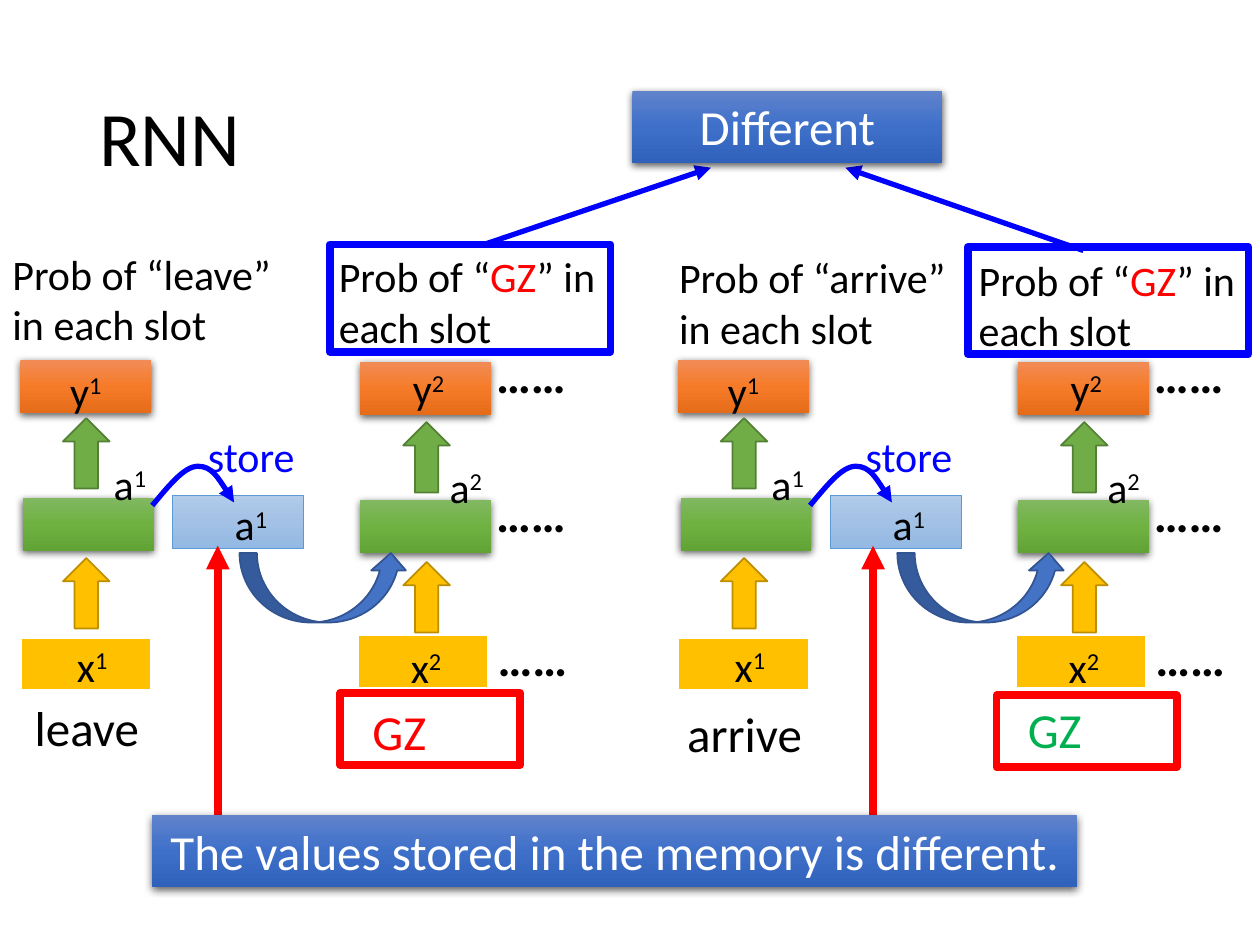
"""Build the slide that compares the memory of an RNN after two different words."""
import dataclasses
import typing

import pptx
import pptx.dml.color
import pptx.enum.shapes
import pptx.enum.text
import pptx.oxml
import pptx.oxml.ns
import pptx.util

Cm = pptx.util.Cm
Pt = pptx.util.Pt
qn = pptx.oxml.ns.qn
SHAPE = pptx.enum.shapes.MSO_SHAPE
ALIGN = pptx.enum.text.PP_ALIGN
ANCHOR = pptx.enum.text.MSO_ANCHOR
FIT = pptx.enum.text.MSO_AUTO_SIZE.SHAPE_TO_FIT_TEXT

BLACK, WHITE, RED, BLUE = "000000", "FFFFFF", "FF0000", "0000FF"
AMBER, AMBER_EDGE = "FFC000", "BD8E00"
LEAF, LEAF_EDGE = "70AD47", "538035"
GREEN = ("81B861", "6FB242", "62A336")
ORANGE = ("F18C57", "F67B28", "E56C19")
PALE_BLUE = ("B1CBE9", "A3C1E5", "93B9E4")
ROYAL_BLUE = ("6183CB", "3E70CA", "3062BB")
BOX, UP_ARROW, LABEL, DOTS = (2.64, 1.07), (0.94, 1.42), (2.24, 1.14), (1.98, 1.45)
NETWORK_SHIFT = 13.26


class Run(typing.NamedTuple):
    text: str
    color: str = BLACK
    superscript: bool = False


@dataclasses.dataclass
class Block:
    left: float
    top: float
    size: tuple
    fill: typing.Union[str, tuple, None] = None
    edge: typing.Optional[str] = None
    edge_width: float = 1
    kind: typing.Any = SHAPE.RECTANGLE
    shadow: bool = False
    text: str = ""


@dataclasses.dataclass
class Caption:
    left: float
    top: float
    size: tuple
    runs: tuple
    points: float = 24
    align: typing.Any = ALIGN.LEFT
    bold: bool = False
    anchor: typing.Any = ANCHOR.TOP
    fit: bool = True
    spacing: float = 1.0


def rgb(color: str):
    return pptx.dml.color.RGBColor.from_string(color)


def xml(tag: str, body: str):
    return pptx.oxml.parse_xml(f'<a:{tag} {pptx.oxml.ns.nsdecls("a")}>{body}</a:{tag}>')


def write(frame, caption: Caption) -> None:
    settings = {"word_wrap": True, "vertical_anchor": caption.anchor}
    if caption.fit:
        settings["auto_size"] = FIT
    for name, value in settings.items():
        setattr(frame, name, value)
    paragraph = frame.paragraphs[0]
    paragraph.alignment = caption.align
    paragraph.line_spacing = caption.spacing
    for part in caption.runs:
        run = paragraph.add_run()
        run.text = part.text
        formats = {"name": "Calibri", "size": Pt(caption.points), "bold": caption.bold}
        for name, value in formats.items():
            setattr(run.font, name, value)
        run.font.color.rgb = rgb(part.color)
        if part.superscript:
            run._r.get_or_add_rPr().set("baseline", "30000")


def draw_caption(shapes, caption: Caption, shift: float = 0) -> None:
    box = shapes.add_textbox(Cm(caption.left + shift), Cm(caption.top), *map(Cm, caption.size))
    write(box.text_frame, caption)


def fill_gradient(shape, colors: tuple) -> None:
    stops = "".join(
        f'<a:gs pos="{index * 50000}"><a:srgbClr val="{color}"/></a:gs>'
        for index, color in enumerate(colors))
    gradient = xml("gradFill", f'<a:gsLst>{stops}</a:gsLst><a:lin ang="5400000" scaled="0"/>')
    shape._element.spPr.find(qn("a:prstGeom")).addnext(gradient)


def draw_block(shapes, block: Block, shift: float = 0) -> None:
    shape = shapes.add_shape(
        block.kind, Cm(block.left + shift), Cm(block.top), *map(Cm, block.size))
    shape.shadow.inherit = False
    if block.shadow:
        shape._element.spPr.find(qn("a:effectLst")).append(pptx.oxml.parse_xml(
            f'<a:outerShdw {pptx.oxml.ns.nsdecls("a")} blurRad="57150" dist="19050" '
            'dir="5400000" algn="ctr" rotWithShape="0"><a:srgbClr val="000000">'
            '<a:alpha val="63000"/></a:srgbClr></a:outerShdw>'))
    if block.fill is None:
        shape.fill.background()
    elif isinstance(block.fill, tuple):
        fill_gradient(shape, block.fill)
    else:
        shape.fill.solid()
        shape.fill.fore_color.rgb = rgb(block.fill)
    if block.edge:
        shape.line.color.rgb = rgb(block.edge)
        shape.line.width = Pt(block.edge_width)
    else:
        shape.line.fill.background()
    if block.text:
        write(shape.text_frame, Caption(
            0, 0, block.size, (Run(block.text, WHITE),), 28, ALIGN.CENTER))


def style_arrow(shape, color: str, width: float) -> None:
    shape.line.color.rgb = rgb(color)
    shape.line.width = Pt(width)
    tail = xml("tailEnd", "")
    tail.set("type", "triangle")
    shape._element.spPr.find(qn("a:ln")).append(tail)


def draw_arrow(shapes, ends: tuple, color: str, width: float) -> None:
    straight = pptx.enum.shapes.MSO_CONNECTOR.STRAIGHT
    connector = shapes.add_connector(straight, *map(Cm, ends))
    style_arrow(connector, color, width)
    connector._element.spPr.append(xml("effectLst", ""))


def draw_store_curve(shapes, shift: float) -> None:
    points = [(3.07, 10.19), (3.4, 9.8), (3.71, 9.4), (3.99, 9.4),
              (4.27, 9.4), (4.5, 9.78), (4.72, 10.13)]
    start, *controls = [(Cm(x + shift), Cm(y)) for x, y in points]
    builder = shapes.build_freeform(*start)
    builder.add_line_segments(controls, close=False)
    curve = builder.convert_to_shape()
    outline = next(curve._element.iter(qn("a:path")))
    segments = outline.findall(qn("a:lnTo"))
    for first in range(0, len(segments), 3):
        bezier = xml("cubicBezTo", "")
        for segment in segments[first:first + 3]:
            bezier.append(segment[0])
            outline.remove(segment)
        outline.append(bezier)
    curve.shadow.inherit = False
    curve.fill.background()
    style_arrow(curve, BLUE, 3)


def draw_network(slide, shift: float) -> None:
    shapes = slide.shapes.add_group_shape().shapes
    columns = [(0.41, 12.85, 0.46, 10.03, 0.41, 7.26, 1.27, 11.25, 8.43),
               (7.21, 12.8, 7.26, 10.08, 7.26, 7.29, 8.13, 11.33, 8.51)]
    for x_left, x_top, a_left, a_top, y_left, y_top, arrow, low, high in columns:
        for block in (
                Block(x_left, x_top, BOX, AMBER, WHITE, 1.5),
                Block(a_left, a_top, BOX, GREEN, shadow=True),
                Block(y_left, y_top, BOX, ORANGE, shadow=True),
                Block(arrow, low, UP_ARROW, AMBER, AMBER_EDGE, kind=SHAPE.UP_ARROW),
                Block(arrow, high, UP_ARROW, LEAF, LEAF_EDGE, kind=SHAPE.UP_ARROW)):
            draw_block(shapes, block, shift)
    draw_block(shapes, Block(3.48, 9.98, BOX, PALE_BLUE, "5B9BD5", 0.5), shift)
    draw_caption(shapes, Caption(
        3.78, 8.56, (2.57, 1.27), (Run("store", BLUE),), align=ALIGN.CENTER), shift)
    draw_store_curve(shapes, shift)
    draw_block(shapes, Block(
        4.83, 11.15, (3.4, 1.4), "4472C4", "325491", kind=SHAPE.CURVED_UP_ARROW), shift)
    for name, left, top, size in (
            ("x1", 0.74, 12.78, LABEL), ("x2", 7.47, 12.8, LABEL),
            ("y1", 0.61, 7.24, LABEL), ("y2", 7.52, 7.19, LABEL),
            ("a1", 1.5, 9.12, LABEL), ("a1", 3.94, 9.93, LABEL), ("a2", 8.69, 9.17, (1.4, 1.14))):
        runs = (Run(name[0]), Run(name[1], superscript=True))
        draw_caption(shapes, Caption(left, top, size, runs, align=ALIGN.CENTER), shift)
    for left, top in ((9.75, 6.83), (9.75, 9.63), (9.78, 12.52)):
        draw_caption(shapes, Caption(left, top, DOTS, (Run("……"),), 28, bold=True), shift)


def main() -> None:
    presentation = pptx.Presentation()
    presentation.slide_width, presentation.slide_height = Cm(25.4), Cm(19.05)
    slide = presentation.slides.add_slide(presentation.slide_layouts[6])
    shapes = slide.shapes
    draw_caption(shapes, Caption(1.75, 1.02, (21.9, 3.68), (Run("RNN"),), 44,
                                 anchor=ANCHOR.MIDDLE, fit=False, spacing=0.9))
    for shift in (0, NETWORK_SHIFT):
        draw_network(slide, shift)
    slot_runs = (Run("Prob of “"), Run("GZ", RED), Run("” in each slot"))
    for caption in (
            Caption(0.38, 13.94, (2.74, 1.45), (Run("leave"),), 28, ALIGN.CENTER),
            Caption(7.26, 14.02, (3.25, 1.45), (Run("GZ", RED),), 28),
            Caption(0, 4.88, (6.22, 2.31), (Run("Prob of “leave” in each slot"),)),
            Caption(6.58, 4.93, (6.32, 2.31), slot_runs),
            Caption(13.44, 4.95, (6.22, 2.31), (Run("Prob of “arrive” in each slot"),)),
            Caption(19.48, 5.0, (6.22, 2.31), slot_runs),
            Caption(13.31, 14.05, (3.4, 1.45), (Run("arrive"),), 28, ALIGN.CENTER),
            Caption(20.47, 13.97, (3.25, 1.45), (Run("GZ", "00B050"),), 28)):
        draw_caption(shapes, caption)
    for ends, color, width in (
            ((9.75, 4.93, 14.33, 3.38), BLUE, 3), ((21.84, 5.05, 17.04, 3.38), BLUE, 3),
            ((4.39, 16.43, 4.39, 11), RED, 4.5), ((17.6, 17.02, 17.6, 11), RED, 4.5)):
        draw_arrow(shapes, ends, color, width)
    for left, top, width, text in (
            (12.75, 1.83, 6.25, "Different"),
            (3.07, 16.43, 18.64, "The values stored in the memory is different.")):
        draw_block(shapes, Block(left, top, (width, 1.45), ROYAL_BLUE, shadow=True, text=text))
    for left, top, size, color in (
            (6.86, 13.97, (3.63, 1.45), RED), (20.09, 14.02, (3.63, 1.45), RED),
            (6.65, 4.93, (5.66, 2.16), BLUE), (19.51, 4.98, (5.66, 2.16), BLUE)):
        draw_block(shapes, Block(left, top, size, edge=color, edge_width=4.5))
    presentation.save("out.pptx")


main()
